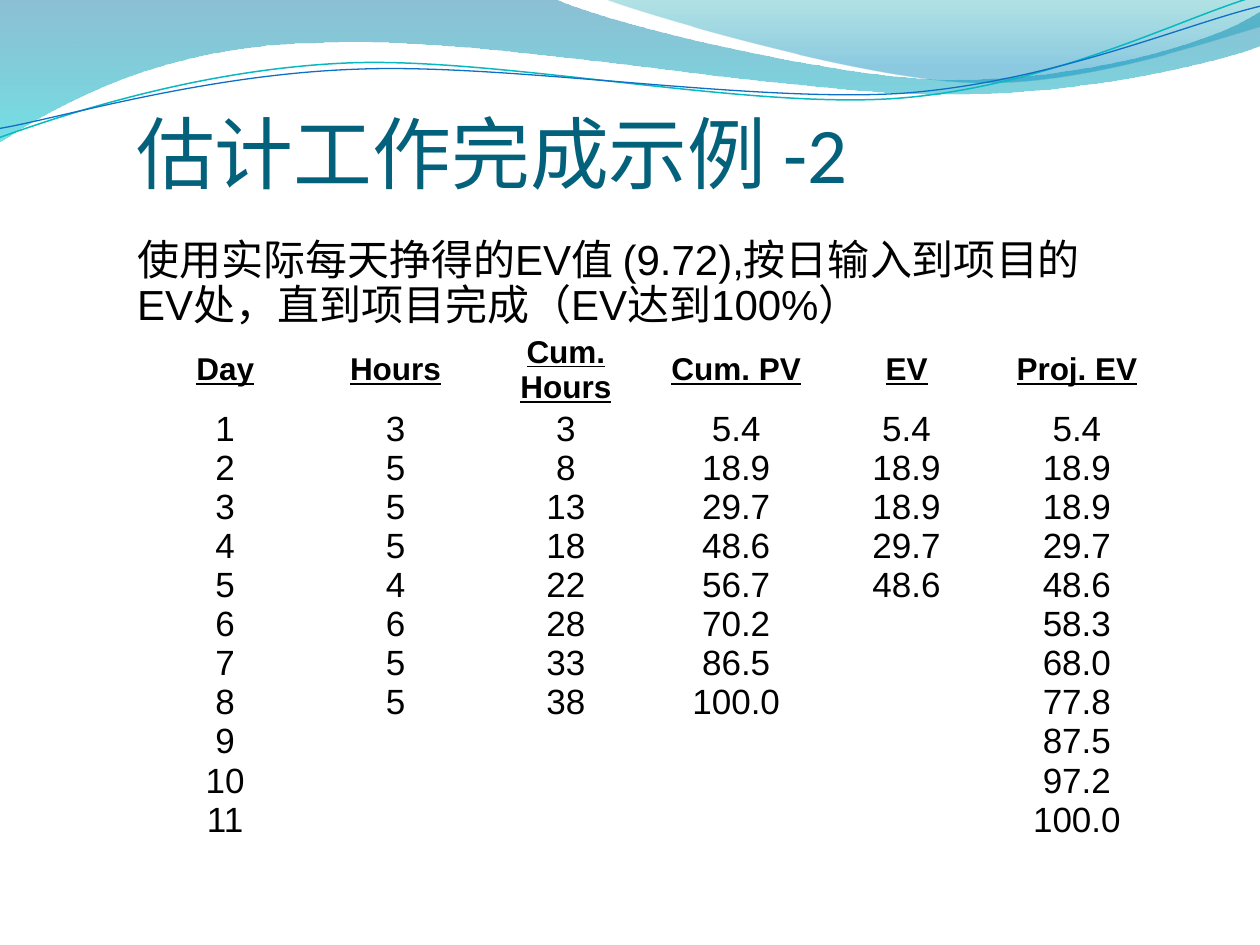
"""Build the slide on estimating work completion with earned value."""

from dataclasses import dataclass

from lxml.etree import SubElement
from pptx import Presentation
from pptx.dml.color import RGBColor
from pptx.enum.text import MSO_ANCHOR, MSO_AUTO_SIZE, PP_ALIGN
from pptx.oxml.ns import qn
from pptx.shapes.autoshape import Shape
from pptx.slide import Slide
from pptx.util import Pt

BLACK = RGBColor(0x00, 0x00, 0x00)
TITLE_TEAL = RGBColor(0x04, 0x61, 0x7B)
DEEP_BLUE = RGBColor(0x00, 0x74, 0xA1)
CYAN = RGBColor(0x00, 0xC6, 0xCF)
SEA_GREEN = RGBColor(0x00, 0xA1, 0xA9)
SKY_BLUE = RGBColor(0x00, 0x8B, 0xBF)
LINE_TEAL = RGBColor(0x0A, 0xB8, 0xBF)
LINE_BLUE = RGBColor(0x0F, 0x6F, 0xC6)

COLUMN_WIDTH = 97.36
HEADER_HEIGHT = 45.4
ROW_HEIGHT = 20.2

HEADERS = ("Day", "Hours", "Cum. Hours", "Cum. PV", "EV", "Proj. EV")
ROWS = (
    ("1", "3", "3", "5.4", "5.4", "5.4"),
    ("2", "5", "8", "18.9", "18.9", "18.9"),
    ("3", "5", "13", "29.7", "18.9", "18.9"),
    ("4", "5", "18", "48.6", "29.7", "29.7"),
    ("5", "4", "22", "56.7", "48.6", "48.6"),
    ("6", "6", "28", "70.2", "", "58.3"),
    ("7", "5", "33", "86.5", "", "68.0"),
    ("8", "5", "38", "100.0", "", "77.8"),
    ("9", "", "", "", "", "87.5"),
    ("10", "", "", "", "", "97.2"),
    ("11", "", "", "", "", "100.0"),
)


@dataclass(frozen=True)
class Outline:
    """A start point followed by straight (2 numbers) or Bézier (6 numbers) segments."""

    start: tuple[float, float]
    segments: tuple[tuple[float, ...], ...]


@dataclass(frozen=True)
class GradientStop:
    """A gradient colour with its position and opacity."""

    position: float
    color: RGBColor
    opacity: float


@dataclass(frozen=True)
class Wave:
    """A filled wave with a top-to-bottom gradient."""

    outline: Outline
    stops: tuple[GradientStop, GradientStop]


@dataclass(frozen=True)
class Strand:
    """A thin open curve."""

    outline: Outline
    color: RGBColor
    width: float


@dataclass(frozen=True)
class TextStyle:
    """Place and format of a placeholder."""

    box: tuple[float, float, float, float]
    margins: tuple[float, float]
    indent: float
    bullet: str
    font: str
    size: float
    color: RGBColor
    anchor: MSO_ANCHOR


WAVES = (
    Wave(
        Outline((0, -0.7), (
            (316.8, -0.7), (342.7, 12.2, 478.1, 45.4, 545.8, 45.4),
            (614.2, 45.4, 689.8, 26.6, 720, 6.5), (720.7, 25.9),
            (707.8, 31.7, 626.4, 54.7, 537.1, 54), (447.8, 54, 275, 20.2, 185, 24.5),
            (92.9, 25.2, 33.1, 59.8, -0.7, 81.4),
        )),
        (GradientStop(0, DEEP_BLUE, 0.45), GradientStop(1, CYAN, 0.55)),
    ),
    Wave(
        Outline((344.9, -0.7), (
            (366.5, 7.9, 491, 44.6, 553.7, 46.8), (616.3, 49.7, 691.9, 23, 720, 15.1),
            (720, 0),
        )),
        (GradientStop(0, SEA_GREEN, 0.3), GradientStop(0.8, SKY_BLUE, 0.45)),
    ),
)
STRANDS = (
    Strand(
        Outline((0, 78.5), (
            (34.6, 66.2, 113, 39.6, 198.7, 36), (284.4, 32.4, 426.2, 62.6, 512.6, 56.2),
            (599.8, 49.7, 675.4, 10.1, 717.8, -2.2),
        )),
        LINE_TEAL, 0.85,
    ),
    Strand(
        Outline((0, 73.4), (
            (33.8, 67.7, 117.4, 42.5, 203.8, 39.6), (289.4, 36, 429.8, 59, 516.2, 53.3),
            (601.9, 46.8, 677.5, 13.7, 720, 3.6),
        )),
        LINE_BLUE, 0.75,
    ),
)
TITLE_STYLE = TextStyle(
    (68.4, 65.5, 611.3, 49.7), (9.4, 4.3), 27.4, "", "Calibri", 45, TITLE_TEAL, MSO_ANCHOR.MIDDLE
)
BODY_STYLE = TextStyle(
    (59.8, 132.2, 595.4, 56.2), (8.6, 4.3), 10, " ", "Arial", 24, BLACK, MSO_ANCHOR.TOP
)


def add_outline(slide: Slide, outline: Outline, close: bool) -> Shape:
    """Draw an outline as a freeform, bending its lines into Bézier curves where given."""
    builder = slide.shapes.build_freeform(*map(Pt, outline.start))
    ends = [(Pt(segment[-2]), Pt(segment[-1])) for segment in outline.segments]
    builder.add_line_segments(ends, close=close)
    shape = builder.convert_to_shape()
    shape.shadow.inherit = False
    lines = list(shape.element.iter(qn("a:lnTo")))
    for line, segment in zip(lines, outline.segments):
        if len(segment) == 6:
            line.tag = qn("a:cubicBezTo")
            end = line[0]
            for x, y in (segment[:2], segment[2:4]):
                control = SubElement(line, qn("a:pt"))
                control.set("x", str(Pt(x) - shape.left))
                control.set("y", str(Pt(y) - shape.top))
            line.append(end)
    return shape


def add_wave(slide: Slide, wave: Wave) -> None:
    """Draw a filled wave."""
    shape = add_outline(slide, wave.outline, close=True)
    shape.line.fill.background()
    shape.fill.gradient()
    shape.fill.gradient_angle = 270
    for gradient_stop, stop in zip(shape.fill.gradient_stops, wave.stops):
        gradient_stop.position = stop.position
        gradient_stop.color.rgb = stop.color
    for color, stop in zip(shape.element.spPr.iter(qn("a:srgbClr")), wave.stops):
        SubElement(color, qn("a:alpha"), val=str(round(stop.opacity * 100000)))


def add_strand(slide: Slide, strand: Strand) -> None:
    """Draw a thin curve."""
    shape = add_outline(slide, strand.outline, close=False)
    shape.fill.background()
    shape.line.color.rgb = strand.color
    shape.line.width = Pt(strand.width)


def fill_placeholder(shape: Shape, text: str, style: TextStyle) -> None:
    """Place a placeholder in front and set its formatted text."""
    shape.element.getparent().append(shape.element)
    shape.left, shape.top, shape.width, shape.height = map(Pt, style.box)
    frame = shape.text_frame
    frame.text = text
    frame.word_wrap = True
    frame.auto_size = MSO_AUTO_SIZE.NONE
    frame.vertical_anchor = style.anchor
    frame.margin_left = frame.margin_right = Pt(style.margins[0])
    frame.margin_top = frame.margin_bottom = Pt(style.margins[1])
    paragraph = frame.paragraphs[0]
    paragraph.alignment = PP_ALIGN.LEFT
    paragraph.line_spacing = 0.9
    paragraph.space_before = Pt(0)
    properties = paragraph._p.get_or_add_pPr()
    properties.set("marL", str(Pt(style.indent)))
    properties.set("indent", str(-Pt(style.indent)))
    if style.bullet:
        SubElement(properties, qn("a:buChar"), char=style.bullet)
    else:
        SubElement(properties, qn("a:buNone"))
    font = paragraph.runs[0].font
    font.name, font.size, font.color.rgb = style.font, Pt(style.size), style.color


def add_value_table(slide: Slide) -> None:
    """Add the table of planned, earned and projected values."""
    width, height = COLUMN_WIDTH * len(HEADERS), HEADER_HEIGHT + ROW_HEIGHT * len(ROWS)
    table = slide.shapes.add_table(
        len(ROWS) + 1, len(HEADERS), Pt(80), Pt(188.6), Pt(width), Pt(height)
    ).table
    table.first_row = table.horz_banding = False
    for column in table.columns:
        column.width = Pt(COLUMN_WIDTH)
    for row_index, (row, texts) in enumerate(zip(table.rows, (HEADERS, *ROWS))):
        is_header = row_index == 0
        row.height = Pt(HEADER_HEIGHT if is_header else ROW_HEIGHT)
        for cell, text in zip(row.cells, texts):
            cell.fill.background()
            cell.margin_left = cell.margin_right = cell.margin_top = cell.margin_bottom = 0
            cell.vertical_anchor = MSO_ANCHOR.MIDDLE
            paragraph = cell.text_frame.paragraphs[0]
            paragraph.text = text
            paragraph.alignment = PP_ALIGN.CENTER
            for run in paragraph.runs:
                run.font.name = "Arial"
                run.font.size = Pt(18 if is_header else 20)
                run.font.bold = run.font.underline = is_header
                run.font.color.rgb = BLACK


def main() -> None:
    """Create and save the presentation."""
    presentation = Presentation()
    presentation.slide_width, presentation.slide_height = Pt(720), Pt(540)
    slide = presentation.slides.add_slide(presentation.slide_layouts[1])
    for wave in WAVES:
        add_wave(slide, wave)
    for strand in STRANDS:
        add_strand(slide, strand)
    body_text = "使用实际每天挣得的EV值 (9.72),按日输入到项目的EV处，直到项目完成（EV达到100%）"
    fill_placeholder(slide.placeholders[1], body_text, BODY_STYLE)
    fill_placeholder(slide.shapes.title, "估计工作完成示例 -2", TITLE_STYLE)
    add_value_table(slide)
    presentation.save("out.pptx")


if __name__ == "__main__":
    main()
